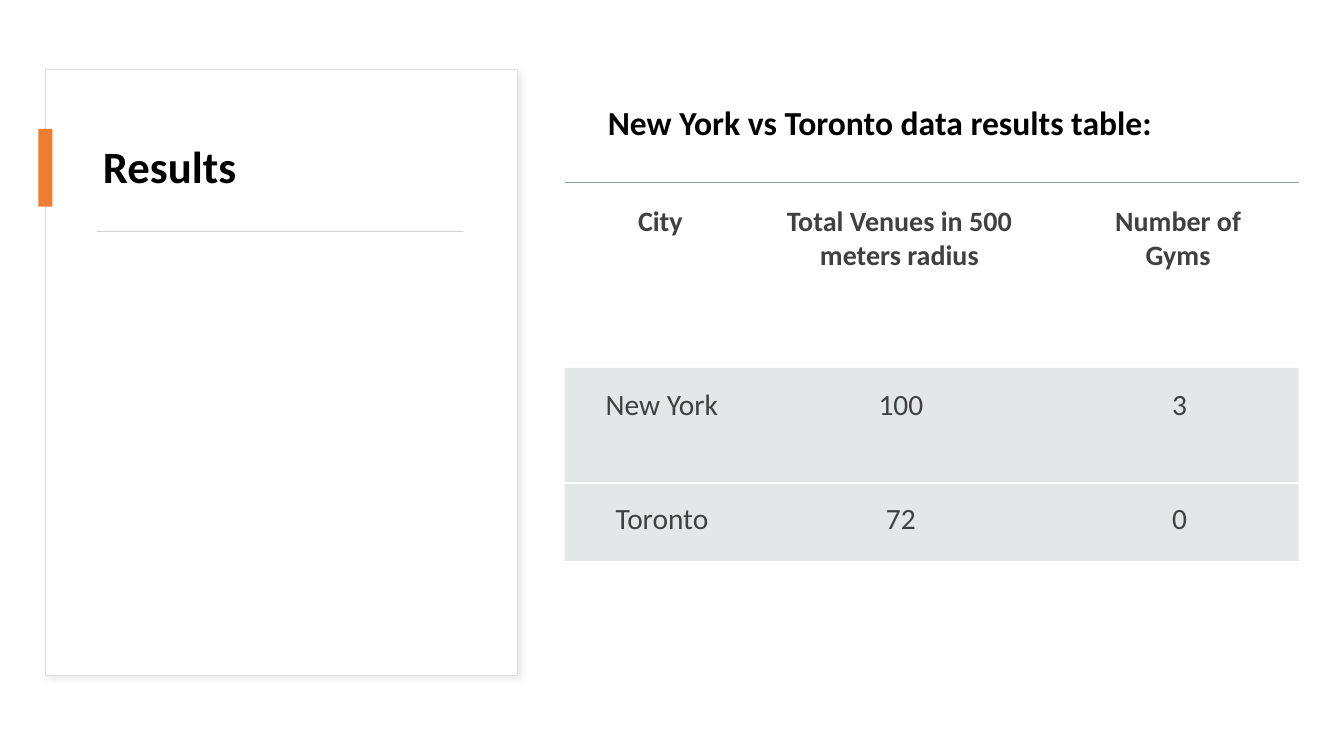
from pptx import Presentation
from pptx.dml.color import RGBColor
from pptx.enum.shapes import MSO_SHAPE
from pptx.enum.text import MSO_ANCHOR, MSO_AUTO_SIZE, PP_ALIGN
from pptx.oxml import parse_xml
from pptx.oxml.ns import qn
from pptx.util import Inches, Pt

NS = 'xmlns:a="http://schemas.openxmlformats.org/drawingml/2006/main"'
COLUMN_WIDTHS = [1.75, 2.99, 2.54]
ROW_HEIGHTS = [1.84, 1.14, 0.79]
RESULTS = [
    ["City", "Total Venues in 500 meters radius", "Number of Gyms"],
    ["New York", "100", "3"],
    ["Toronto", "72", "0"],
]


def color(value):
    return RGBColor.from_string(value)


def box(left, top, width, height):
    return [Inches(length) for length in (left, top, width, height)]


def add_run(paragraph, text, size, font_color="000000", bold=True):
    run = paragraph.add_run()
    run.text = text
    run.font.name = "Calibri"
    run.font.size = Pt(size)
    run.font.bold = bold
    run.font.color.rgb = color(font_color)


def add_rectangle(slide, place, fill, line=None):
    rectangle = slide.shapes.add_shape(MSO_SHAPE.RECTANGLE, *box(*place))
    rectangle.shadow.inherit = False
    rectangle.fill.solid()
    rectangle.fill.fore_color.rgb = color(fill)
    if line:
        rectangle.line.color.rgb = color(line)
        rectangle.line.width = Pt(0.75)
    else:
        rectangle.line.fill.background()
    return rectangle


def add_soft_shadow(shape):
    effects = shape._element.spPr.find(qn("a:effectLst"))
    effects.append(parse_xml(
        f'<a:outerShdw {NS} blurRad="{Pt(4)}" dist="{Pt(3)}" dir="2700000" algn="tl" rotWithShape="0">'
        '<a:srgbClr val="D9D9D9"><a:alpha val="50000"/></a:srgbClr></a:outerShdw>'))


def set_borders(cell, top=None, bottom=None):
    """Draw the given (colour, opacity) edges and clear the other sides."""
    edges = {"L": None, "R": None, "T": top, "B": bottom}
    for side, edge in edges.items():
        paint = "<a:noFill/>"
        if edge:
            paint = (f'<a:solidFill><a:srgbClr val="{edge[0]}">'
                     f'<a:alpha val="{edge[1] * 1000}"/></a:srgbClr></a:solidFill>')
        cell._tc.get_or_add_tcPr().append(
            parse_xml(f'<a:ln{side} {NS} w="{Pt(1.5)}">{paint}</a:ln{side}>'))


def format_cell(cell, text, row):
    header = row == 0
    padding = Inches(0.22 if header else 0.19)
    cell.margin_left = Inches(0.37)
    cell.margin_top = cell.margin_right = cell.margin_bottom = padding
    cell.vertical_anchor = MSO_ANCHOR.TOP
    paragraph = cell.text_frame.paragraphs[0]
    paragraph.alignment = PP_ALIGN.CENTER
    add_run(paragraph, text, 20 if header else 21, "404040", header)
    white = ("FFFFFF", 100)
    if header:
        set_borders(cell, top=("8F9A9D", 60))
        cell.fill.background()
    else:
        set_borders(cell, top=white if row > 1 else None, bottom=white)
        cell.fill.solid()
        cell.fill.fore_color.rgb = color("B4BCBE")
        tint = cell._tc.tcPr.find(qn("a:solidFill"))[0]
        tint.append(parse_xml(f'<a:alpha {NS} val="35000"/>'))


def add_results_table(slide):
    place = box(5.6, 1.81, sum(COLUMN_WIDTHS), sum(ROW_HEIGHTS))
    table = slide.shapes.add_table(len(RESULTS), len(COLUMN_WIDTHS), *place).table
    table.first_row = False
    table.horz_banding = False
    for column, width in zip(table.columns, COLUMN_WIDTHS):
        column.width = Inches(width)
    for row, (height, texts) in enumerate(zip(ROW_HEIGHTS, RESULTS)):
        table.rows[row].height = Inches(height)
        for column, text in enumerate(texts):
            format_cell(table.cell(row, column), text, row)


def set_title(slide, text):
    title = slide.shapes.title
    title.left, title.top, title.width, title.height = box(0.92, 1.07, 3.73, 1.21)
    title.text_frame.vertical_anchor = MSO_ANCHOR.MIDDLE
    paragraph = title.text_frame.paragraphs[0]
    paragraph.alignment = PP_ALIGN.LEFT
    paragraph.line_spacing = 0.9
    add_run(paragraph, text, 32)
    return title


def add_caption(slide, text):
    caption = slide.shapes.add_textbox(*box(5.93, 0.96, 5.65, 0.81)).text_frame
    caption.word_wrap = False
    caption.auto_size = MSO_AUTO_SIZE.SHAPE_TO_FIT_TEXT
    add_run(caption.paragraphs[0], text, 24)


def main():
    presentation = Presentation()
    presentation.slide_width = Inches(13.33)
    presentation.slide_height = Inches(7.5)
    slide = presentation.slides.add_slide(presentation.slide_layouts[5])
    title = set_title(slide, "Results")
    panel = add_rectangle(slide, (0.45, 0.69, 4.68, 6.01), "FFFFFF", "DEDEDE")
    add_soft_shadow(panel)
    title._element.addprevious(panel._element)
    add_rectangle(slide, (0.38, 1.28, 0.14, 0.77), "ED7D31")
    add_rectangle(slide, (0.96, 2.29, 3.64, 0.01), "D5D5D5")
    add_results_table(slide)
    add_caption(slide, "New York vs Toronto data results table:")
    presentation.save("out.pptx")


if __name__ == "__main__":
    main()
